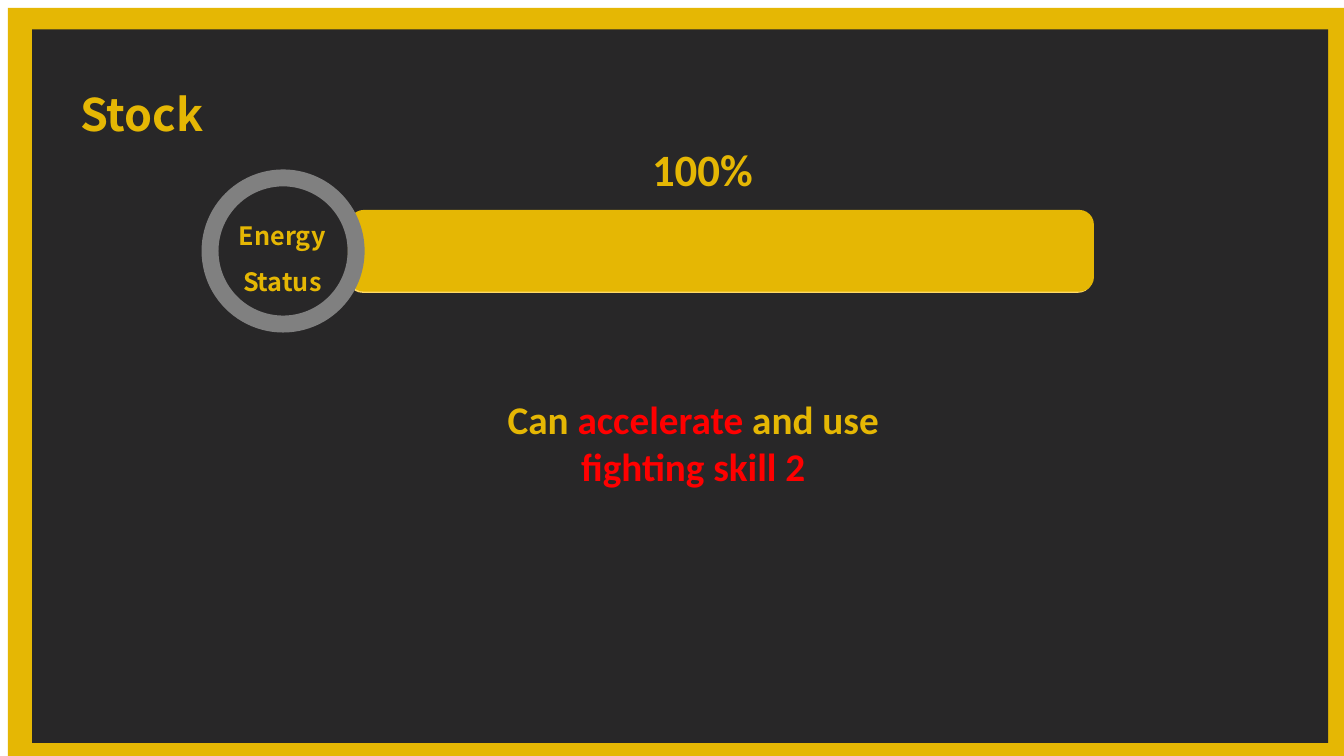
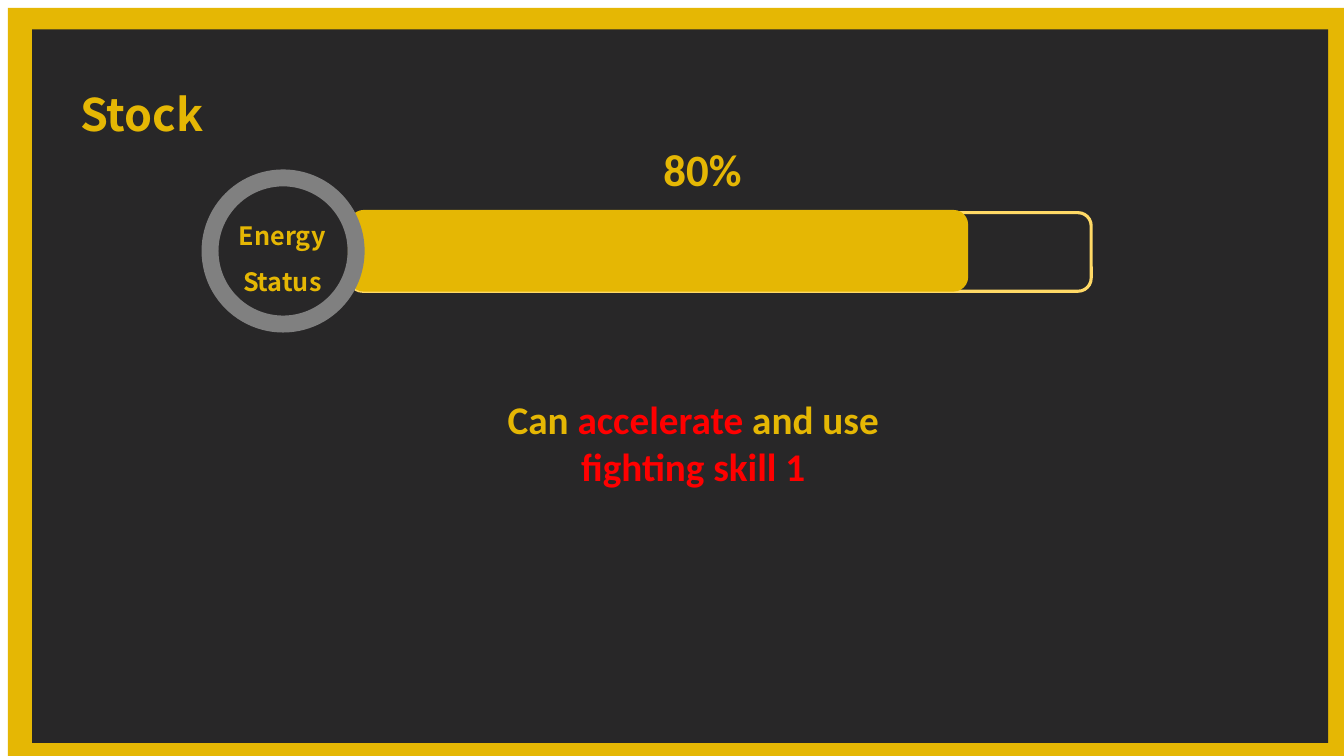
from pptx import Presentation
from pptx.dml.color import RGBColor
from pptx.enum.shapes import MSO_SHAPE
from pptx.enum.text import MSO_ANCHOR, MSO_AUTO_SIZE, PP_ALIGN
from pptx.util import Cm, Pt

RECT, ROUNDED, DONUT = MSO_SHAPE.RECTANGLE, MSO_SHAPE.ROUNDED_RECTANGLE, MSO_SHAPE.DONUT
CENTER, TOP, NO_FIT = PP_ALIGN.CENTER, MSO_ANCHOR.TOP, MSO_AUTO_SIZE.NONE

GOLD = RGBColor(0xE5, 0xB7, 0x04)
PALE_GOLD = RGBColor(0xFF, 0xD9, 0x66)
DARK = RGBColor(0x28, 0x27, 0x28)
GRAY = RGBColor(0x80, 0x80, 0x80)
RED = RGBColor(0xFF, 0x00, 0x00)

LABEL_FONT = "Noto Sans CJK SC"
TEXT_FONT = "Calibri"
WIDTH, HEIGHT = 33.87, 19.05
TITLE_ONLY = 5

# Level in percent, width of the filled bar in cm, skill that is unlocked
LEVELS = [
    (100, 18.69, "fighting skill 2"),
    (80, 15.52, "fighting skill 1"),
]


def box(*lengths):
    """Turn left, top, width and height in cm into lengths."""
    return [Cm(n) for n in lengths]


def add_shape(s, kind, at, fill=None, line=None):
    """Add a flat shape with an optional fill and outline."""
    sp = s.shapes.add_shape(kind, *box(*at))
    sp.shadow.inherit = False
    if fill is None:
        sp.fill.background()
    else:
        sp.fill.solid()
        sp.fill.fore_color.rgb = fill
    if line is None:
        sp.line.fill.background()
    else:
        sp.line.color.rgb = line
        sp.line.width = Pt(2.25)
    return sp


def write(sp, runs, size, font, spacing=None):
    """Write one centred bold paragraph; runs are (text, colour) pairs."""
    tf = sp.text_frame
    tf.word_wrap = True
    tf.auto_size = NO_FIT
    tf.vertical_anchor = TOP
    p = tf.paragraphs[0]
    p.alignment = CENTER
    p.line_spacing = spacing
    p.font.name, p.font.size, p.font.bold = font, Pt(size), True
    p.font.color.rgb = GOLD
    for text, color in runs:
        r = p.add_run()
        r.text = text
        if color != GOLD:
            r.font.color.rgb = color


def add_text(s, at, runs, size, font, spacing=None):
    """Add a text box with one paragraph."""
    write(s.shapes.add_textbox(*box(*at)), runs, size, font, spacing)


def style_layout(layout, s):
    """Give the layout its gold frame, dark panel and title position."""
    frame = add_shape(s, RECT, (0.2, 0.2, WIDTH, HEIGHT), GOLD)
    panel = add_shape(s, RECT, (0.81, 0.74, 32.66, 17.98), DARK)
    tree = layout.shapes.element
    for i, sp in enumerate((frame, panel), start=2):
        tree.insert(i, sp.element)
    title = layout.placeholders[0]
    title.left, title.top, title.width, title.height = box(1.42, 1.37, 4.32, 2.29)


def add_gauge(s, level, width):
    """Add the energy bar, its ring and its labels."""
    add_text(s, (5.03, 5.05, 4.17, 2.54), [("Energy Status", GOLD)], 18, LABEL_FONT, 1.5)
    add_shape(s, ROUNDED, (8.81, 5.36, 18.69, 1.98), line=PALE_GOLD)
    add_shape(s, ROUNDED, (8.84, 5.33, width, 1.98), GOLD, GOLD)
    ring = add_shape(s, DONUT, (5.08, 4.27, 4.11, 4.11), GRAY)
    ring.adjustments[0] = 0.104
    add_text(s, (14.68, 3.45, 6.05, 1.63), [(f"{level}%", GOLD)], 32, TEXT_FONT)


def add_message(s, skill):
    """Add the sentence that tells what the energy allows."""
    runs = [("Can ", GOLD), ("accelerate", RED), (" and use ", GOLD), (skill, RED)]
    add_text(s, (11.4, 9.83, 12.14, 2.64), runs, 28, TEXT_FONT)


def main():
    """Build one slide for each energy level."""
    prs = Presentation()
    prs.slide_width, prs.slide_height = Cm(WIDTH), Cm(HEIGHT)
    layout = prs.slide_layouts[TITLE_ONLY]
    for i, (level, width, skill) in enumerate(LEVELS):
        s = prs.slides.add_slide(layout)
        if i == 0:
            style_layout(layout, s)
        write(s.shapes.title, [("Stock", GOLD)], 32, LABEL_FONT, 1.5)
        add_gauge(s, level, width)
        add_message(s, skill)
    prs.save("out.pptx")


main()
